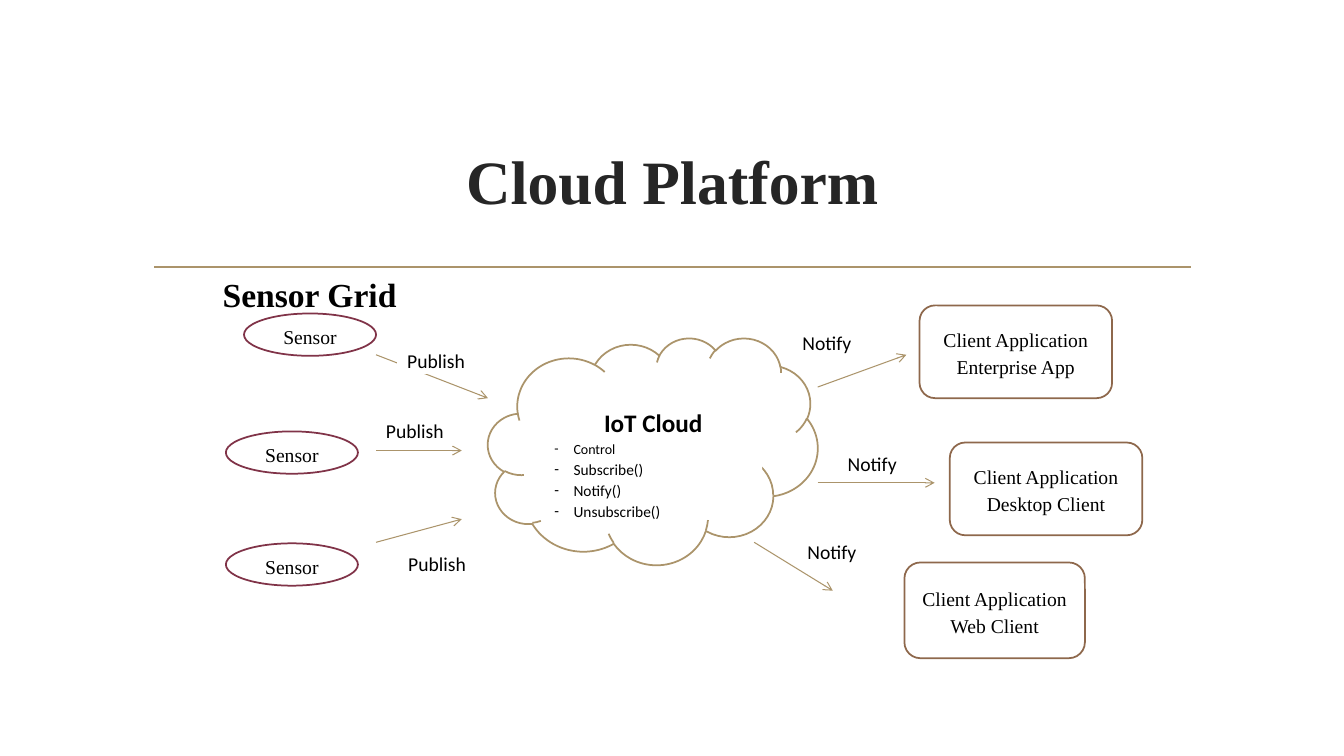
from pptx import Presentation
from pptx.dml.color import RGBColor
from pptx.enum.shapes import MSO_CONNECTOR, MSO_SHAPE
from pptx.enum.text import MSO_ANCHOR, PP_ALIGN
from pptx.oxml.ns import qn
from pptx.util import Inches, Pt
from lxml.etree import SubElement

GOLD = RGBColor(0xAB, 0x94, 0x6B)
WINE = RGBColor(0x80, 0x33, 0x48)
BROWN = RGBColor(0x8E, 0x68, 0x4C)
WHITE = RGBColor(0xFF, 0xFF, 0xFF)
BLACK = RGBColor(0, 0, 0)
CHARCOAL = RGBColor(0x26, 0x26, 0x26)
SERIF = "Times New Roman"
SANS = "Calibri"

SENSORS = [(2.42, 3.11), (2.24, 4.28), (2.24, 5.39)]
CLIENTS = [
    ("Enterprise App", (9.12, 3.03, 1.91, 0.92)),
    ("Desktop Client", (9.42, 4.39, 1.91, 0.92)),
    ("Web Client", (8.97, 5.58, 1.79, 0.95)),
]
ARROWS = [
    (3.73, 3.52, 4.84, 3.95),
    (3.73, 4.47, 4.58, 4.47),
    (3.73, 5.38, 4.58, 5.15),
    (8.11, 3.84, 8.99, 3.52),
    (8.11, 4.79, 9.27, 4.79),
    (7.48, 5.38, 8.26, 5.86),
]
MESSAGES = [
    ("Publish", 3.94, 3.38),
    ("Publish", 3.73, 4.07),
    ("Publish", 3.95, 5.39),
    ("Notify", 7.86, 3.2),
    ("Notify", 8.31, 4.4),
    ("Notify", 7.91, 5.27),
]
CLOUD_FUNCTIONS = [("Control", 10), ("Subscribe()", 11), ("Notify()", 11), ("Unsubscribe()", 11)]


def style_paragraph(paragraph, size, name, color=BLACK, bold=False, align=PP_ALIGN.LEFT):
    """Set the alignment and the font of every run of a paragraph."""
    paragraph.alignment = align
    for run in paragraph.runs:
        run.font.size = Pt(size)
        run.font.name = name
        run.font.bold = bold
        run.font.color.rgb = color


def add_block(slide, kind, box, line_color=None):
    """Add a white preset shape, outlined when a line colour is given."""
    shape = slide.shapes.add_shape(kind, *map(Inches, box))
    shape.shadow.inherit = False
    shape.fill.solid()
    shape.fill.fore_color.rgb = WHITE
    if line_color is None:
        shape.line.fill.background()
    else:
        shape.line.color.rgb = line_color
        shape.line.width = Pt(1.25)
    return shape


def add_node(slide, kind, box, text, line_color):
    """Add an outlined shape with centred serif text."""
    shape = add_block(slide, kind, box, line_color)
    shape.text_frame.text = text
    paragraph = shape.text_frame.paragraphs[0]
    paragraph.line_spacing = 1.15
    paragraph.space_after = Pt(10)
    style_paragraph(paragraph, 14, SERIF, align=PP_ALIGN.CENTER)


def add_message(slide, text, left, top):
    """Add a white label beside an arrow."""
    shape = add_block(slide, MSO_SHAPE.RECTANGLE, (left, top, 0.96, 0.33))
    shape.text_frame.text = text
    shape.text_frame.vertical_anchor = MSO_ANCHOR.TOP
    paragraph = shape.text_frame.paragraphs[0]
    paragraph.line_spacing = 1.15
    style_paragraph(paragraph, 14, SANS)


def add_line(slide, points, width, arrow=False):
    """Add a straight gold line, with an open arrowhead if wanted."""
    connector = slide.shapes.add_connector(MSO_CONNECTOR.STRAIGHT, *map(Inches, points))
    connector.line.color.rgb = GOLD
    connector.line.width = Pt(width)
    if arrow:
        SubElement(connector.line._get_or_add_ln(), qn("a:tailEnd"), type="arrow")
    SubElement(connector._element.spPr, qn("a:effectLst"))


def add_bullet(paragraph):
    """Give a paragraph a hanging dash."""
    properties = paragraph._p.get_or_add_pPr()
    properties.set("marL", str(Inches(0.19)))
    properties.set("indent", str(-Inches(0.19)))
    SubElement(properties, qn("a:buFont"), typeface=SANS)
    SubElement(properties, qn("a:buChar"), char="-")


def add_cloud(slide):
    """Add the cloud with its heading and list of functions."""
    add_block(slide, MSO_SHAPE.CLOUD, (4.84, 3.35, 3.27, 2.25), GOLD)


def add_cloud_text(slide):
    """Add the heading and the functions inside the cloud."""
    shape = add_block(slide, MSO_SHAPE.RECTANGLE, (5.4, 3.95, 2.16, 1.2))
    text_frame = shape.text_frame
    text_frame.vertical_anchor = MSO_ANCHOR.TOP
    text_frame.text = "IoT Cloud"
    heading = text_frame.paragraphs[0]
    heading.line_spacing = 1.15
    style_paragraph(heading, 18, SANS, bold=True, align=PP_ALIGN.CENTER)
    for name, size in CLOUD_FUNCTIONS:
        paragraph = text_frame.add_paragraph()
        paragraph.text = name
        paragraph.line_spacing = 1.15
        add_bullet(paragraph)
        style_paragraph(paragraph, size, SANS)


def add_title(slide, text):
    """Fill and place the title placeholder."""
    title = slide.shapes.title
    title.left, title.top, title.width, title.height = map(Inches, (1.42, 1.07, 10.5, 1.43))
    title.text_frame.text = text
    title.text_frame.vertical_anchor = MSO_ANCHOR.MIDDLE
    style_paragraph(title.text_frame.paragraphs[0], 44, SERIF, CHARCOAL, True, PP_ALIGN.CENTER)


def add_grid_heading(slide, text):
    """Add the heading above the sensors."""
    text_box = slide.shapes.add_textbox(*map(Inches, (2.11, 2.67, 2.47, 0.45)))
    text_box.text_frame.word_wrap = True
    text_box.text_frame.text = text
    style_paragraph(text_box.text_frame.paragraphs[0], 24, SERIF, bold=True)


def main():
    """Build the slide and save it."""
    presentation = Presentation()
    presentation.slide_width = Inches(13.33)
    presentation.slide_height = Inches(7.5)
    slide = presentation.slides.add_slide(presentation.slide_layouts[5])
    add_title(slide, "Cloud Platform")
    add_line(slide, (1.53, 2.65, 11.81, 2.65), 1.25)
    add_cloud(slide)
    for left, top in SENSORS:
        add_node(slide, MSO_SHAPE.OVAL, (left, top, 1.31, 0.42), "Sensor", WINE)
    for points in ARROWS:
        add_line(slide, points, 0.75, arrow=True)
    for client, box in CLIENTS:
        add_node(slide, MSO_SHAPE.ROUNDED_RECTANGLE, box, f"Client Application {client}", BROWN)
    for text, left, top in MESSAGES:
        add_message(slide, text, left, top)
    add_cloud_text(slide)
    add_grid_heading(slide, "Sensor Grid")
    presentation.save("out.pptx")


if __name__ == "__main__":
    main()
